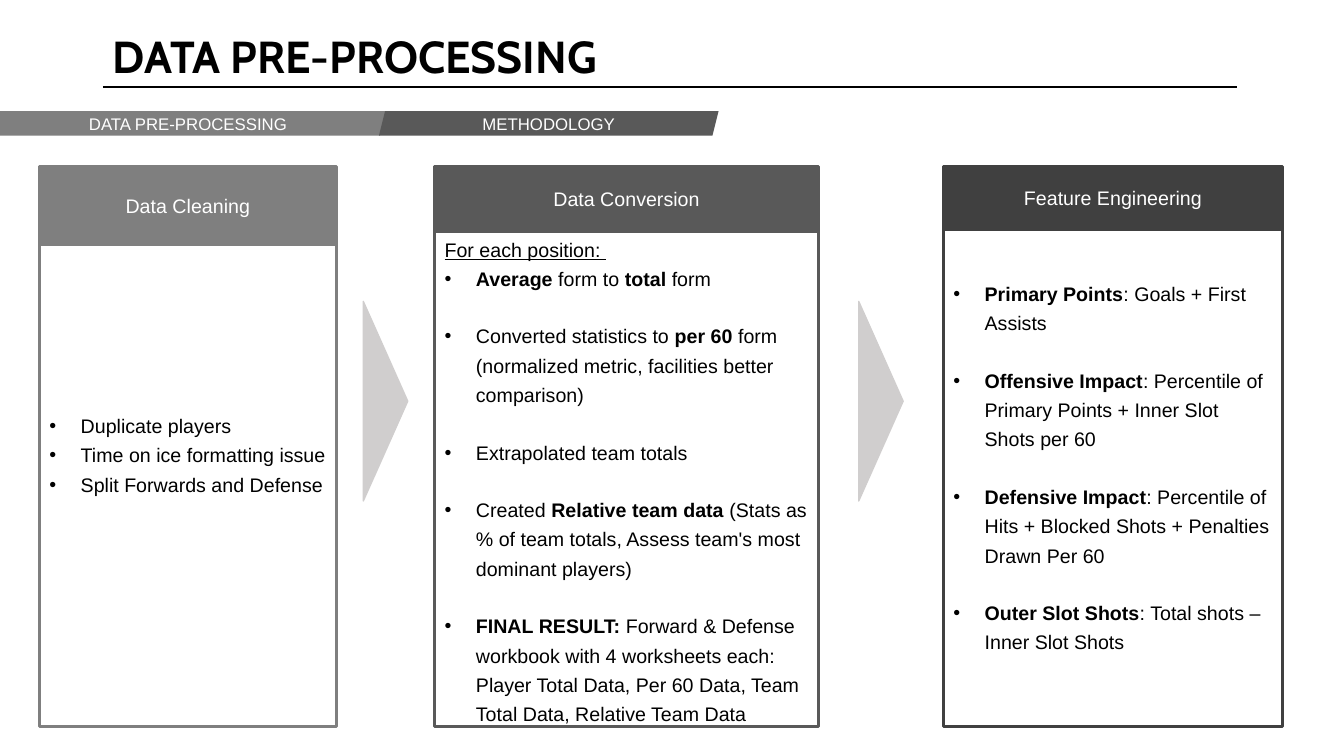
from lxml import etree
from pptx import Presentation
from pptx.dml.color import RGBColor
from pptx.enum import shapes, text
from pptx.oxml import ns
from pptx.util import Cm, Pt

BLACK = RGBColor(0x00, 0x00, 0x00)
WHITE = RGBColor(0xFF, 0xFF, 0xFF)
LIGHT = RGBColor(0xD0, 0xCE, 0xCE)
MID_GREY = RGBColor(0x7F, 0x7F, 0x7F)
DARK_GREY = RGBColor(0x59, 0x59, 0x59)
CHARCOAL = RGBColor(0x40, 0x40, 0x40)

TITLE = "DATA PRE-PROCESSING"
# label, left, width, colour
TABS = [
    ("DATA PRE-PROCESSING", -0.25, 9.98, MID_GREY),
    ("METHODOLOGY", 9.55, 8.56, DARK_GREY),
]
# Items come in groups set apart by a gap; **...** marks bold words.
COLUMNS = [
    dict(name="Data Cleaning", left=0.99, width=7.49, head=1.98, color=MID_GREY,
         bottom_inset=1.83, lead=None,
         groups=[["Duplicate players", "Time on ice formatting issue",
                  "Split Forwards and Defense"]]),
    dict(name="Data Conversion", left=10.95, width=9.68, head=1.63, color=DARK_GREY,
         bottom_inset=0.13, lead="For each position: ",
         groups=[["**Average** form to **total** form"],
                 ["Converted statistics to **per 60** form (normalized metric, "
                  "facilities better comparison)"],
                 ["Extrapolated team totals"],
                 ["Created **Relative team data** (Stats as % of team totals, "
                  "Assess team's most dominant players)"],
                 ["**FINAL RESULT:** Forward & Defense workbook with 4 worksheets each: "
                  "Player Total Data, Per 60 Data, Team Total Data, Relative Team Data"]]),
    dict(name="Feature Engineering", left=23.77, width=8.56, head=1.6, color=CHARCOAL,
         bottom_inset=0.8, lead=None,
         groups=[["**Primary Points**: Goals + First Assists"],
                 ["**Offensive Impact**: Percentile of Primary Points + "
                  "Inner Slot Shots per 60"],
                 ["**Defensive Impact**: Percentile of Hits + Blocked Shots + "
                  "Penalties Drawn Per 60"],
                 ["**Outer Slot Shots**: Total shots – Inner Slot Shots"]]),
]
COLUMN_TOP, COLUMN_BOTTOM = 4.19, 18.31
ARROW_LENGTH, ARROW_SPAN, ARROW_MIDDLE = 1.12, 5.03, 10.11
GROUP_GAP = Pt(20)
BULLET_INDENT = Cm(0.79)


def set_all(target, **values):
    for name, value in values.items():
        setattr(target, name, value)


def place(shape, left, top, width, height):
    set_all(shape, left=Cm(left), top=Cm(top), width=Cm(width), height=Cm(height))


def add_span(para, words, size, color=BLACK, name="Arial", bold=False, underline=False):
    span = para.add_run()
    span.text = words
    set_all(span.font, size=Pt(size), name=name, bold=bold, underline=underline)
    span.font.color.rgb = color


def add_block(page, kind, left, top, width, height, color, line_width=0, label="", size=14):
    """Add a filled shape with an optional centred white label."""
    block = page.shapes.add_shape(kind, Cm(left), Cm(top), Cm(width), Cm(height))
    block.shadow.inherit = False
    block.fill.solid()
    block.fill.fore_color.rgb = color
    if line_width:
        block.line.color.rgb = color
        block.line.width = Pt(line_width)
    else:
        block.line.fill.background()
    if label:
        block.text_frame.vertical_anchor = text.MSO_ANCHOR.MIDDLE
        para = block.text_frame.paragraphs[0]
        para.alignment = text.PP_ALIGN.CENTER
        add_span(para, label, size, WHITE)
    return block


def set_bullet(para, bulleted):
    props = para._p.get_or_add_pPr()
    indent = BULLET_INDENT if bulleted else 0
    props.set("marL", str(indent))
    props.set("indent", str(-indent))
    if bulleted:
        etree.SubElement(props, ns.qn("a:buFont")).set("typeface", "Arial")
        etree.SubElement(props, ns.qn("a:buChar")).set("char", "•")
    else:
        etree.SubElement(props, ns.qn("a:buNone"))


def fill_list(box, column):
    frame = box.text_frame
    set_all(frame, word_wrap=True, auto_size=text.MSO_AUTO_SIZE.NONE,
            vertical_anchor=text.MSO_ANCHOR.MIDDLE, margin_bottom=Cm(column["bottom_inset"]))
    lines = [(column["lead"], False, 0)] if column["lead"] else []
    for number, group in enumerate(column["groups"]):
        for place_in_group, words in enumerate(group):
            gap = GROUP_GAP if number and not place_in_group else 0
            lines.append((words, True, gap))
    for number, (words, bulleted, gap) in enumerate(lines):
        para = frame.add_paragraph() if number else frame.paragraphs[0]
        set_all(para, line_spacing=1.25, space_before=gap, alignment=text.PP_ALIGN.LEFT)
        set_bullet(para, bulleted)
        for part, piece in enumerate(words.split("**")):
            if piece:
                add_span(para, piece, 14, bold=part % 2 == 1, underline=not bulleted)


def add_title(page):
    title = page.shapes.title
    place(title, 2.59, 0.58, 13.54, 1.63)
    set_all(title.text_frame, word_wrap=True, auto_size=text.MSO_AUTO_SIZE.NONE,
            vertical_anchor=text.MSO_ANCHOR.MIDDLE)
    para = title.text_frame.paragraphs[0]
    para.alignment = text.PP_ALIGN.LEFT
    add_span(para, TITLE, 32, name="Cabin", bold=True)
    rule = page.shapes.add_connector(shapes.MSO_CONNECTOR.STRAIGHT,
                                     Cm(2.59), Cm(2.19), Cm(31.17), Cm(2.19))
    rule.line.color.rgb = BLACK
    rule.line.width = Pt(1.5)
    etree.SubElement(rule._element.spPr, ns.qn("a:effectLst"))


def main():
    deck = Presentation()
    deck.slide_width, deck.slide_height = Cm(33.87), Cm(19.05)
    page = deck.slides.add_slide(deck.slide_layouts.get_by_name("Comparison"))
    add_title(page)

    title_box, *boxes = page.placeholders
    for spare in boxes[len(COLUMNS):]:
        spare._element.getparent().remove(spare._element)

    for label, left, width, color in TABS:
        add_block(page, shapes.MSO_SHAPE.PARALLELOGRAM, left, 2.8, width, 0.62,
                  color, label=label, size=12)

    for box, column in zip(boxes, COLUMNS):
        left, width, head, color = (column[key] for key in ("left", "width", "head", "color"))
        body_top = COLUMN_TOP + head
        place(box, left, body_top, width, COLUMN_BOTTOM - body_top)
        box.line.color.rgb = color
        box.line.width = Pt(2.25)
        fill_list(box, column)
        add_block(page, shapes.MSO_SHAPE.RECTANGLE, left, COLUMN_TOP, width, head,
                  color, 2.25, column["name"])

    for before, after in zip(COLUMNS, COLUMNS[1:]):
        center = (before["left"] + before["width"] + after["left"]) / 2
        arrow = add_block(page, shapes.MSO_SHAPE.ISOSCELES_TRIANGLE,
                          center - ARROW_SPAN / 2, ARROW_MIDDLE - ARROW_LENGTH / 2,
                          ARROW_SPAN, ARROW_LENGTH, LIGHT, 1)
        arrow.rotation = 90

    deck.save("out.pptx")


if __name__ == "__main__":
    main()
